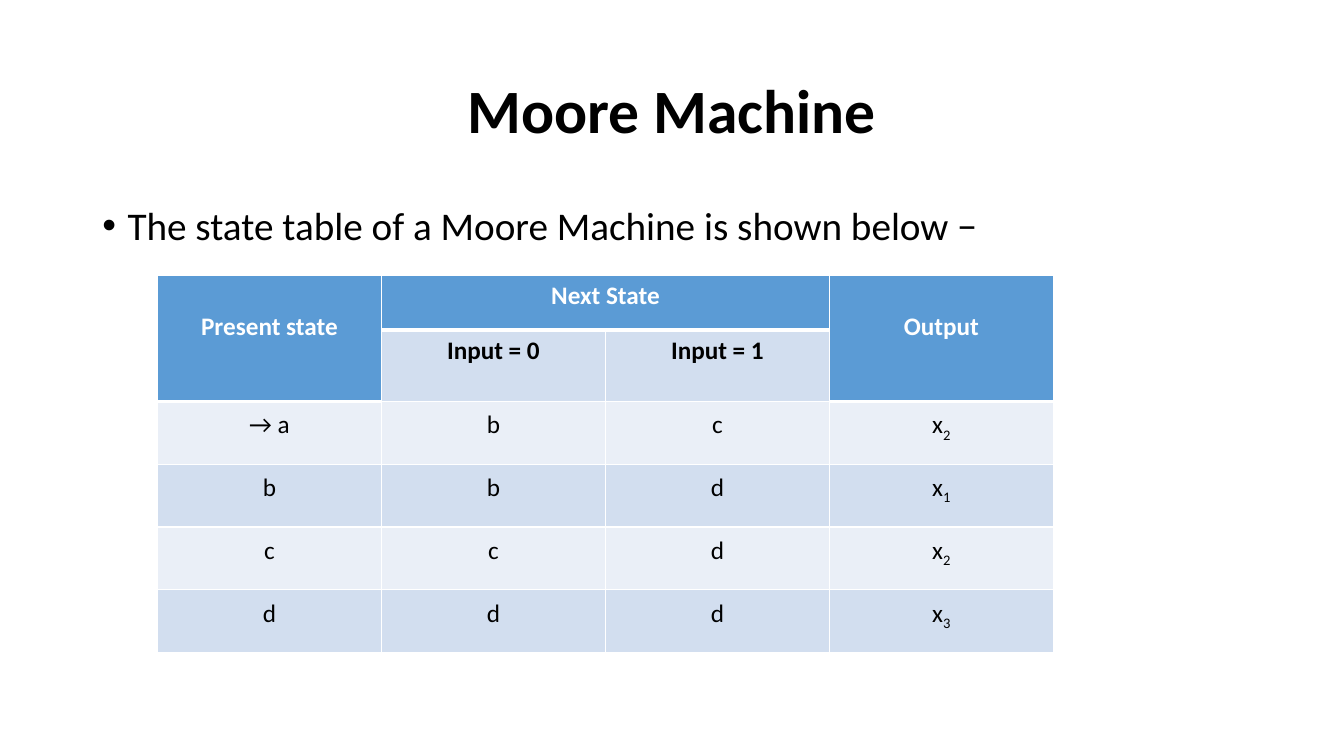
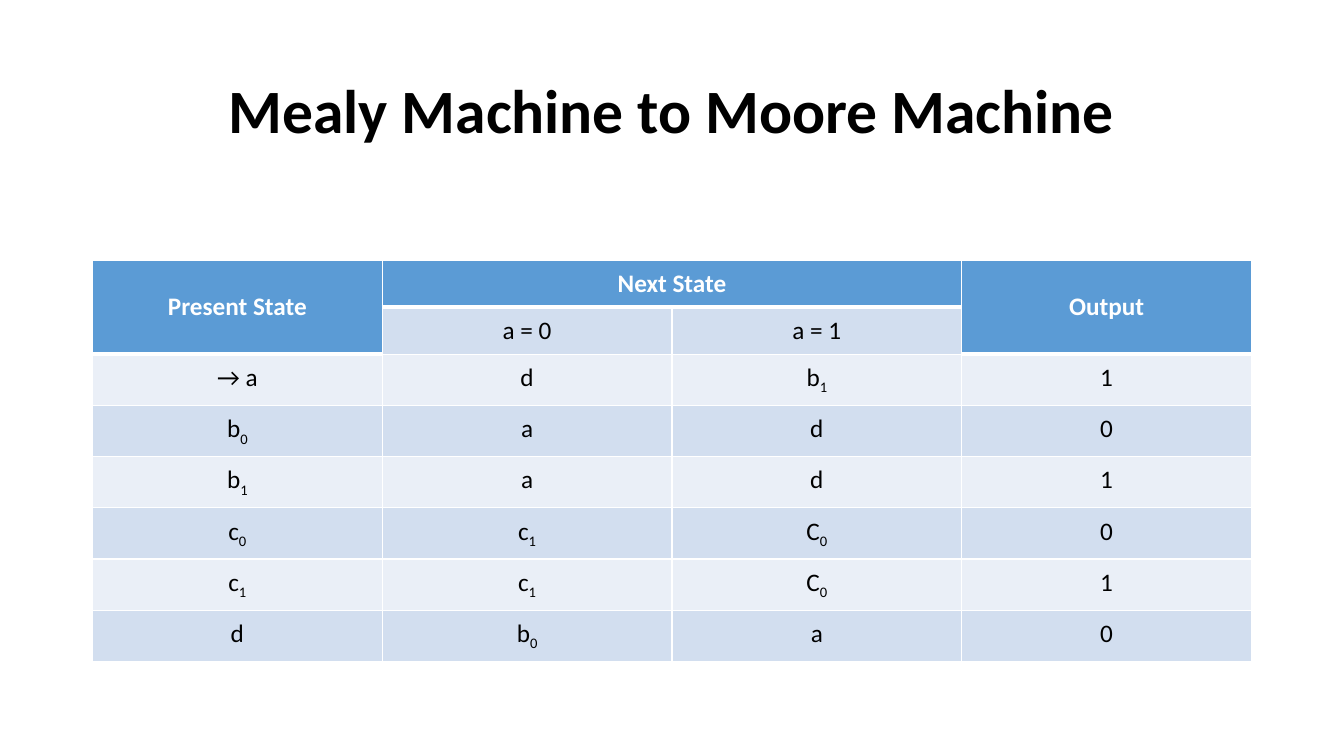
import pptx
import pptx.util
import pptx.dml.color
import pptx.enum.text
import pptx.oxml
import pptx.oxml.ns
from pptx.util import Cm, Pt

RGBColor = pptx.dml.color.RGBColor
PP_ALIGN = pptx.enum.text.PP_ALIGN
MSO_ANCHOR = pptx.enum.text.MSO_ANCHOR

BLACK = RGBColor(0x00, 0x00, 0x00)
WHITE = RGBColor(0xFF, 0xFF, 0xFF)
HEADER = RGBColor(0x5B, 0x9B, 0xD5)
BAND_DARK = RGBColor(0xD2, 0xDE, 0xEF)
BAND_LIGHT = RGBColor(0xEA, 0xEF, 0xF7)
FONT = "Calibri"

# Boxes are left, top, width, height in centimetres
TITLE_BOX = (2.33, 1.01, 29.21, 3.68)
BODY_BOX = (2.33, 5.08, 29.21, 12.09)
CELL_PAD = 0.21


def add_run(p, text, size, color=BLACK, bold=False):
    r = p.add_run()
    r.text = text
    r.font.name = FONT
    r.font.size = Pt(size)
    r.font.bold = bold
    r.font.color.rgb = color
    return r


def add_text_box(s, box):
    tf = s.shapes.add_textbox(*map(Cm, box)).text_frame
    tf.word_wrap = True
    tf.paragraphs[0].line_spacing = 0.9
    return tf


def add_title(s, text, box=TITLE_BOX):
    tf = add_text_box(s, box)
    tf.vertical_anchor = MSO_ANCHOR.MIDDLE
    p = tf.paragraphs[0]
    p.alignment = PP_ALIGN.CENTER
    add_run(p, text, 44, bold=True)


def add_bullet(s, text, box=BODY_BOX):
    p = add_text_box(s, box).paragraphs[0]
    p.space_before = Pt(10)
    add_run(p, text, 28)
    # Hanging bullet
    pPr = p._p.get_or_add_pPr()
    pPr.set("marL", str(Cm(0.635)))
    pPr.set("indent", str(-Cm(0.635)))
    for tag, attr, value in (("buFont", "typeface", "Arial"), ("buChar", "char", "•")):
        bullet = pptx.oxml.parse_xml(
            f'<a:{tag} {pptx.oxml.ns.nsdecls("a")} {attr}="{value}"/>')
        pPr.append(bullet)


def set_borders(cell, top, bottom):
    tcPr = cell._tc.get_or_add_tcPr()
    widths = {"lnL": 1, "lnR": 1, "lnT": top, "lnB": bottom}
    for i, (tag, width) in enumerate(widths.items()):
        line = pptx.oxml.parse_xml(
            f'<a:{tag} {pptx.oxml.ns.nsdecls("a")} w="{Pt(width)}">'
            f'<a:solidFill><a:srgbClr val="{WHITE}"/></a:solidFill></a:{tag}>')
        tcPr.insert(i, line)


def fill_cell(cell, text, color, bold):
    """Write centred text; the part after an underscore is a subscript."""
    p = cell.text_frame.paragraphs[0]
    p.alignment = PP_ALIGN.CENTER
    base, _, subscript = text.partition("_")
    if base:
        add_run(p, base, 18, color, bold)
    if subscript:
        r = add_run(p, subscript, 18, color, bold)
        r._r.get_or_add_rPr().set("baseline", "-25000")
    return p


def add_state_table(s, box, heights, rows, padded_head):
    """heights: the two header rows, then every state row."""
    cols = len(rows[0])
    table = s.shapes.add_table(len(rows), cols, *map(Cm, box)).table
    for col in table.columns:
        col.width = Cm(box[2] / cols)

    for i, row in enumerate(rows):
        table.rows[i].height = Cm(heights[min(i, 2)])
        for j, text in enumerate(row):
            cell = table.cell(i, j)
            outer = j in (0, cols - 1)
            header = i == 0 or (i == 1 and outer)
            band = BAND_DARK if i % 2 else BAND_LIGHT
            cell.fill.solid()
            cell.fill.fore_color.rgb = HEADER if header else band
            below_header = i == (2 if outer else 1)
            set_borders(cell, 3 if below_header else 1, 3 if header else 1)
            if i > 1 or padded_head:
                cell.margin_left = cell.margin_right = Cm(CELL_PAD)
                cell.margin_top = cell.margin_bottom = Cm(CELL_PAD)
            bold = header or (i == 1 and not padded_head)
            p = fill_cell(cell, text, WHITE if header else BLACK, bold)
            # Headings over two rows
            if i == 0 and outer:
                if padded_head:
                    cell.vertical_anchor = MSO_ANCHOR.MIDDLE
                else:
                    p.line_spacing = 2.0

    table.cell(0, 1).merge(table.cell(0, cols - 2))
    for j in (0, cols - 1):
        table.cell(0, j).merge(table.cell(1, j))


def moore_slide(prs):
    s = prs.slides.add_slide(prs.slide_layouts[6])
    add_title(s, "Moore Machine")
    add_bullet(s, "The state table of a Moore Machine is shown below −")
    rows = [
        ("Present state", "Next State", "", "Output"),
        ("", "Input = 0", "Input = 1", ""),
        ("→ a", "b", "c", "x_2"),
        ("b", "b", "d", "x_1"),
        ("c", "c", "d", "x_2"),
        ("d", "d", "d", "x_3"),
    ]
    add_state_table(s, (3.97, 6.95, 22.58, 9.5), (1.37, 1.8, 1.58), rows, False)


def mealy_to_moore_slide(prs):
    s = prs.slides.add_slide(prs.slide_layouts[6])
    add_title(s, "Mealy Machine to Moore Machine")
    rows = [
        ("Present State", "Next State", "", "Output"),
        ("", "a = 0", "a = 1", ""),
        ("→ a", "d", "b_1", "1"),
        ("b_0", "a", "d", "0"),
        ("b_1", "a", "d", "1"),
        ("c_0", "c_1", "C_0", "0"),
        ("c_1", "c_1", "C_0", "1"),
        ("d", "b_0", "a", "0"),
    ]
    add_state_table(s, (2.33, 6.56, 29.21, 10.1), (1.18, 1.18, 1.29), rows, True)


def main():
    prs = pptx.Presentation()
    prs.slide_width, prs.slide_height = Cm(33.87), Cm(19.05)
    moore_slide(prs)
    mealy_to_moore_slide(prs)
    prs.save("out.pptx")


if __name__ == "__main__":
    main()
